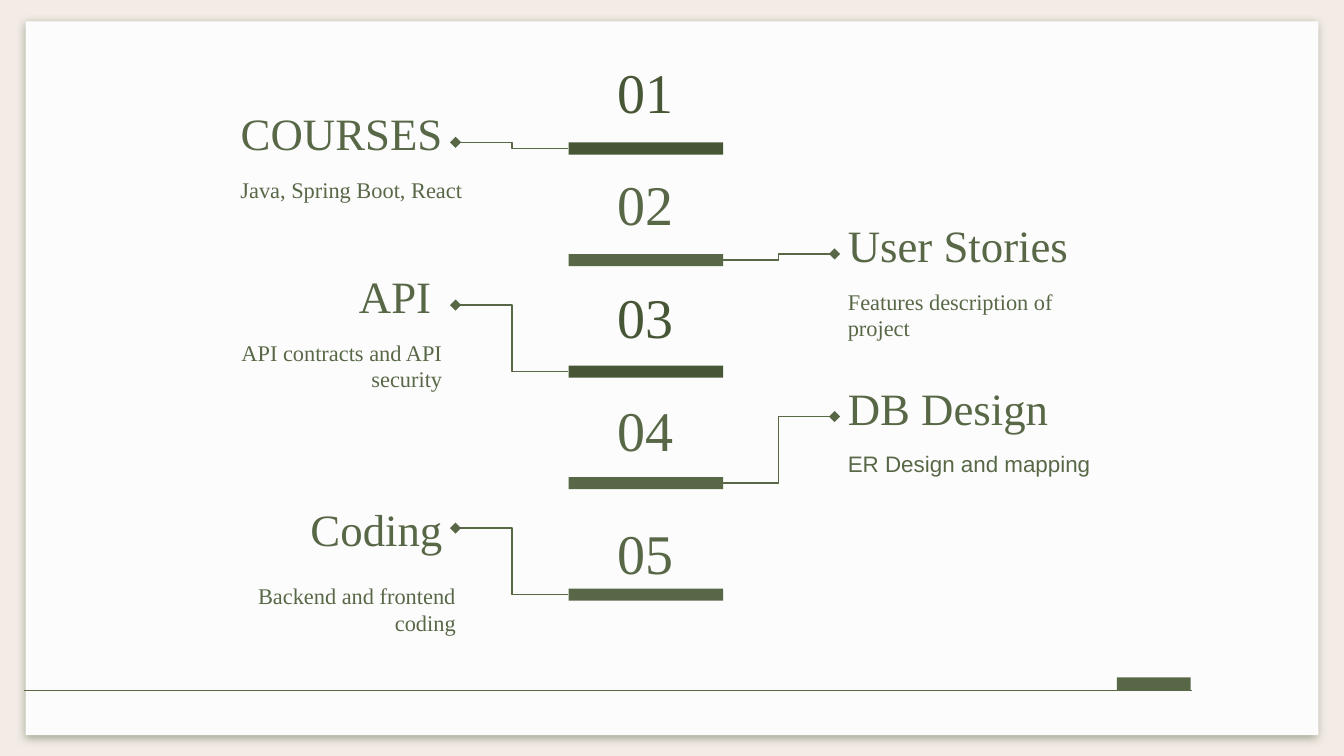
from lxml import etree
from pptx import Presentation
from pptx.dml.color import RGBColor
from pptx.enum.shapes import MSO_CONNECTOR, MSO_SHAPE
from pptx.enum.text import MSO_ANCHOR, MSO_AUTO_SIZE, PP_ALIGN
from pptx.oxml.ns import qn
from pptx.util import Inches, Pt

CREAM = RGBColor(0xF3, 0xEC, 0xE6)
PAPER = RGBColor(0xFC, 0xFC, 0xFC)
GREEN = RGBColor(0x58, 0x68, 0x47)
DARK = RGBColor(0x47, 0x57, 0x35)

RECT = MSO_SHAPE.RECTANGLE
STRAIGHT, ELBOW = MSO_CONNECTOR.STRAIGHT, MSO_CONNECTOR.ELBOW
TOP, MIDDLE, BOTTOM = MSO_ANCHOR.TOP, MSO_ANCHOR.MIDDLE, MSO_ANCHOR.BOTTOM
LEFT, CENTER, RIGHT = PP_ALIGN.LEFT, PP_ALIGN.CENTER, PP_ALIGN.RIGHT
GROW, FIXED = MSO_AUTO_SIZE.SHAPE_TO_FIT_TEXT, MSO_AUTO_SIZE.NONE
SERIF, SANS = "Times New Roman", "Arial"
LEFT_SIDE, RIGHT_SIDE = 1, 3


class SlideBuilder:
    """Holds the slide and its style."""

    inset = Inches(0.1)
    line_width = Pt(0.75)

    def __init__(self, slide):
        self.slide = slide

    def background(self, color):
        fill = self.slide.background.fill
        fill.solid()
        fill.fore_color.rgb = color

    def rect(self, x, y, w, h, color):
        sp = self.slide.shapes.add_shape(RECT, *map(Inches, (x, y, w, h)))
        sp.shadow.inherit = False
        sp.fill.solid()
        sp.fill.fore_color.rgb = color
        sp.line.fill.background()
        return sp

    def soft_shadow(self, sp, color):
        effects = sp._element.spPr.find(qn("a:effectLst"))
        shadow = etree.SubElement(effects, qn("a:outerShdw"), {
            "blurRad": str(Pt(4.5)), "dist": str(Pt(1.5)),
            "dir": "5400000", "algn": "bl", "rotWithShape": "0"})
        clr = etree.SubElement(shadow, qn("a:srgbClr"), val=str(color))
        etree.SubElement(clr, qn("a:alpha"), val="50000")

    def connector(self, kind, x1, y1, x2, y2):
        cxn = self.slide.shapes.add_connector(kind, *map(Inches, (x1, y1, x2, y2)))
        cxn.line.color.rgb = GREEN
        cxn.line.width = self.line_width
        etree.SubElement(cxn._element.spPr, qn("a:effectLst"))
        return cxn

    def branch(self, bar, side, x, y):
        cxn = self.connector(ELBOW, x, y, x, y)
        cxn.begin_connect(bar, side)
        cxn.end_x, cxn.end_y = Inches(x), Inches(y)
        ln = cxn.line._get_or_add_ln()
        etree.SubElement(ln, qn("a:tailEnd"), type="diamond")

    def text(self, text, box, size, align, anchor=TOP, color=GREEN, font=SERIF,
             fit=FIXED):
        sp = self.slide.shapes.add_textbox(*map(Inches, box))
        tf = sp.text_frame
        frame = {"word_wrap": True, "auto_size": fit, "vertical_anchor": anchor}
        for side in ("left", "top", "right", "bottom"):
            frame["margin_" + side] = self.inset
        for name, value in frame.items():
            setattr(tf, name, value)
        p = tf.paragraphs[0]
        p.alignment = align
        r = p.add_run()
        r.text = text
        for name, value in {"size": Pt(size), "name": font}.items():
            setattr(r.font, name, value)
        r.font.color.rgb = color


# Each step: bar colour, side of the label, end of the branch (y)
STEPS = [
    (DARK, LEFT_SIDE, 1.06),
    (GREEN, RIGHT_SIDE, 1.89),
    (DARK, LEFT_SIDE, 2.27),
    (GREEN, RIGHT_SIDE, 3.1),
    (GREEN, LEFT_SIDE, 3.93),
]
BRANCH_X = {LEFT_SIDE: 3.39, RIGHT_SIDE: 6.21}

# Each heading: text, box, alignment, anchor, fit
HEADINGS = [
    ("COURSES", (1.31, 0.83, 2.08, 0.46), RIGHT, BOTTOM, FIXED),
    ("User Stories", (6.21, 1.66, 2.4, 0.46), LEFT, BOTTOM, FIXED),
    ("API ", (1.09, 2.04, 2.3, 0.46), RIGHT, BOTTOM, FIXED),
    ("DB Design", (6.21, 2.87, 2.08, 0.46), LEFT, BOTTOM, FIXED),
    ("Coding", (0.11, 3.63, 3.28, 0.61), RIGHT, TOP, GROW),
]

# Each description: text, box, alignment, font, fit
DESCRIPTIONS = [
    ("Java, Spring Boot, React", (1.46, 1.21, 2.08, 0.55), RIGHT, SERIF, FIXED),
    ("Features description of project", (6.21, 2.04, 2.08, 0.55), LEFT, SERIF, FIXED),
    ("API contracts and API security", (1.31, 2.42, 2.08, 0.55), RIGHT, SERIF, FIXED),
    ("ER Design and mapping", (6.21, 3.25, 2.08, 0.55), LEFT, SANS, FIXED),
    ("Backend and frontend coding", (1.58, 4.23, 1.91, 0.61), RIGHT, SERIF, GROW),
]


def main():
    prs = Presentation()
    prs.slide_width, prs.slide_height = Inches(10), Inches(10 * 9 / 16)
    s = SlideBuilder(prs.slides.add_slide(prs.slide_layouts[6]))

    # Page and footer
    s.background(CREAM)
    page = s.rect(0.19, 0.16, 9.62, 5.31, PAPER)
    s.soft_shadow(page, GREEN)
    s.connector(STRAIGHT, 8.87, 5.14, 0.18, 5.14)
    s.rect(8.31, 5.04, 0.55, 0.1, GREEN)

    # Bars, branches and numbers
    for i, (color, side, y) in enumerate(STEPS):
        bar = s.rect(4.23, 1.06 + 0.83 * i, 1.15, 0.09, color)
        s.branch(bar, side, BRANCH_X[side], y)
        number = f"{i + 1:02d}"
        if i < len(STEPS) - 1:
            box = (4.38, 0.39 + 0.84 * i, 0.84, 0.57)
            s.text(number, box, 30, CENTER, MIDDLE, color)
        else:
            s.text(number, (3.16, 3.76, 3.28, 0.71), 30, CENTER, fit=GROW)

    # Headings and descriptions
    for text, box, align, anchor, fit in HEADINGS:
        s.text(text, box, 24, align, anchor, fit=fit)
    for text, box, align, font, fit in DESCRIPTIONS:
        s.text(text, box, 12, align, font=font, fit=fit)

    prs.save("out.pptx")


if __name__ == "__main__":
    main()
